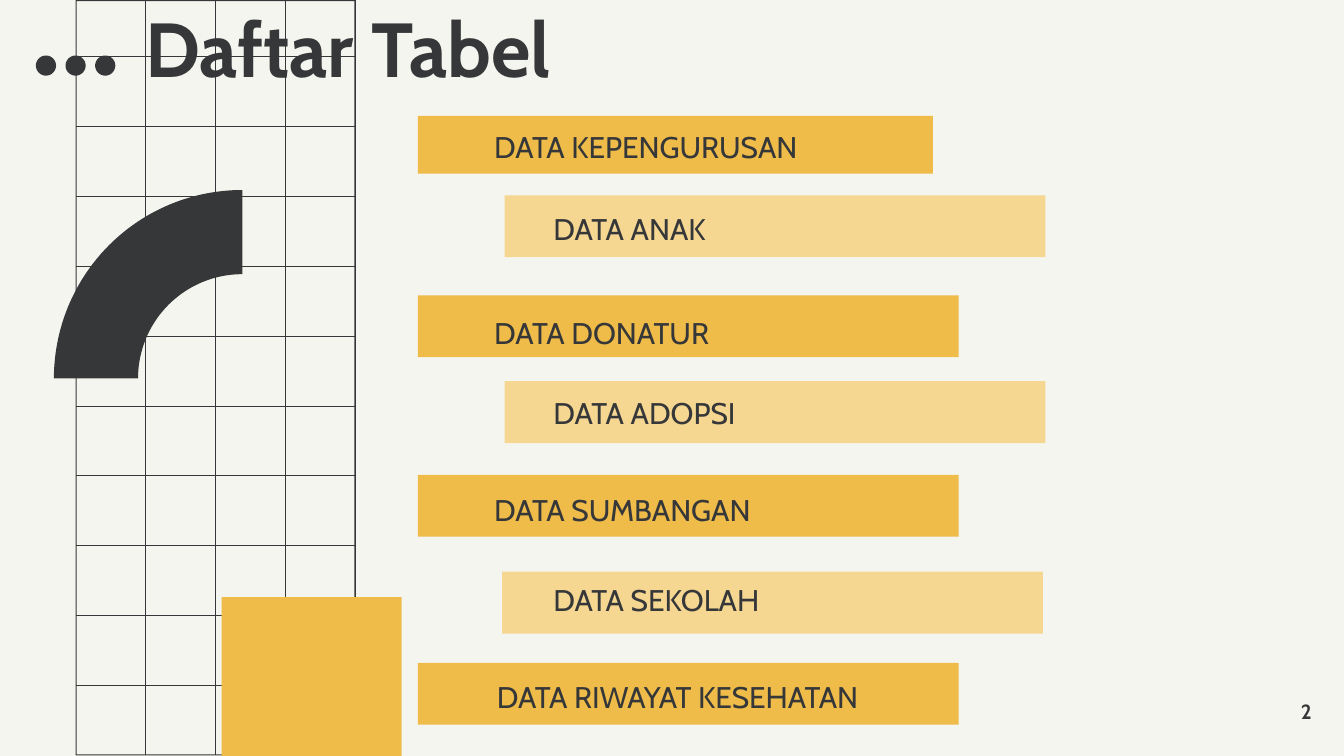
import math
from pptx import Presentation
from pptx.dml.color import RGBColor
from pptx.enum import shapes, text
from pptx.oxml.ns import qn
from pptx.util import Cm, Pt
from lxml import etree

HUES = {"paper": "F5F5EF", "ink": "363739", "gold": "EFBC49", "pale": "F5D792"}
FONT = "Cabin"
WIDE, HIGH = 25.4, 14.28
TITLE, PAGE = "Daftar Tabel", "2"

# Entries in cm: label, bar (left, top, width, height), text (left, top, width)
ITEMS = [
    ("DATA KEPENGURUSAN", (7.9, 2.19, 9.73, 1.09), (9.34, 2.33, 8.64)),
    ("DATA ANAK", (9.54, 3.69, 10.22, 1.17), (10.46, 3.88, 9.55)),
    ("DATA DONATUR", (7.9, 5.58, 10.22, 1.17), (9.34, 5.84, 9.19)),
    ("DATA ADOPSI", (9.54, 7.2, 10.22, 1.17), (10.46, 7.35, 9.07)),
    ("DATA SUMBANGAN", (7.9, 8.97, 10.22, 1.17), (9.34, 9.19, 8.86)),
    ("DATA SEKOLAH", (9.49, 10.8, 10.22, 1.17), (10.46, 10.89, 8.81)),
    ("DATA RIWAYAT KESEHATAN", (7.9, 12.52, 10.22, 1.17), (9.39, 12.72, 8.81)),
]

# Grid: frame (left, top, right, bottom) and its thickness,
# then first line, gap and number of lines each way
FRAME, THICK = (1.43, 0, 6.72, 14.27), 0.02
COLS = (2.75, 1.32, 4)
ROWS = (1.07, 1.32, 10)


def hue(name):
    return RGBColor.from_string(HUES[name])


def paint(shape, name):
    shape.shadow.inherit = False
    shape.fill.solid()
    shape.fill.fore_color.rgb = hue(name)
    shape.line.fill.background()


def block(slide, box, name):
    kind = shapes.MSO_SHAPE.RECTANGLE
    paint(slide.shapes.add_shape(kind, *map(Cm, box)), name)


def rule(slide, ends):
    line = slide.shapes.add_connector(
        shapes.MSO_CONNECTOR.STRAIGHT, *map(Cm, ends))
    line.line.color.rgb = hue("ink")
    line.line.width = Pt(0.5)
    etree.SubElement(line._element.spPr, qn("a:effectLst"))


def outline(slide, loops, name):
    loops = [[(Cm(x), Cm(y)) for x, y in loop] for loop in loops]
    path = slide.shapes.build_freeform(*loops[0][0])
    for i, loop in enumerate(loops):
        if i:
            path.move_to(*loop[0])
        path.add_line_segments(loop[1:])
    paint(path.convert_to_shape(), name)


def arc(mid_x, mid_y, size, sweep, steps=48):
    turns = [sweep * i / steps for i in range(steps + 1)]
    return [(mid_x - size * math.cos(t), mid_y - size * math.sin(t))
            for t in turns]


def corners(left, top, right, bottom):
    return [(left, top), (right, top), (right, bottom), (left, bottom)]


def write(shape, words, size, bold=False, anchor="TOP", align="LEFT",
          lead=1.0, after=0):
    frame = shape.text_frame
    frame.word_wrap = True
    frame.auto_size = text.MSO_AUTO_SIZE.NONE
    frame.margin_left = frame.margin_right = 0
    frame.margin_top = frame.margin_bottom = 0
    frame.vertical_anchor = getattr(text.MSO_ANCHOR, anchor)
    para = frame.paragraphs[0]
    para.alignment = getattr(text.PP_ALIGN, align)
    para.line_spacing = lead
    para.space_before, para.space_after = Pt(0), Pt(after)
    run = para.add_run()
    run.text = words
    run.font.name, run.font.size, run.font.bold = FONT, Pt(size), bold
    run.font.color.rgb = hue("ink")


def main():
    deck = Presentation()
    deck.slide_width, deck.slide_height = Cm(WIDE), Cm(HIGH)
    slide = deck.slides.add_slide(deck.slide_layouts[5])
    slide.background.fill.solid()
    slide.background.fill.fore_color.rgb = hue("paper")

    # Title
    head = slide.shapes.title
    head.left, head.top, head.width, head.height = map(
        Cm, (2.75, 0.33, 8.51, 1.45))
    write(head, TITLE, 41, True, "BOTTOM", lead=0.9)

    # Three dots
    dots = [arc(0.87 + 0.56 * i, 1.24, 0.19, 2 * math.pi) for i in range(3)]
    outline(slide, dots, "ink")

    # Grid frame, its inner loop turned the other way, and lines
    left, top, right, bottom = FRAME
    inner = corners(left + THICK, top + THICK, right - THICK, bottom - THICK)
    outline(slide, [corners(*FRAME), inner[::-1]], "ink")
    xs, ys = ([start + gap * i for i in range(count)]
              for start, gap, count in (COLS, ROWS))
    for x in xs:
        rule(slide, (x, top, x, bottom))
    for y in ys:
        rule(slide, (left, y, right, y))

    # Square and arch
    block(slide, (4.19, 11.28, 3.4, HIGH - 11.28), "gold")
    outer, inner = (arc(4.58, 7.15, r, math.pi / 2) for r in (3.56, 1.97))
    outline(slide, [outer + inner[::-1]], "ink")

    # Bars with labels, in alternating colours
    for i, (label, bar, (left, top, width)) in enumerate(ITEMS):
        block(slide, bar, ("gold", "pale")[i % 2])
        note = slide.shapes.add_textbox(
            Cm(left), Cm(top), Cm(width), Cm(0.73))
        write(note, label, 16, lead=1.15, after=8)

    # Page number
    foot = slide.shapes.add_textbox(Cm(23.27), Cm(13.18), Cm(1.52), Cm(0.51))
    write(foot, PAGE, 11, True, "MIDDLE", "RIGHT")

    deck.save("out.pptx")


if __name__ == "__main__":
    main()
